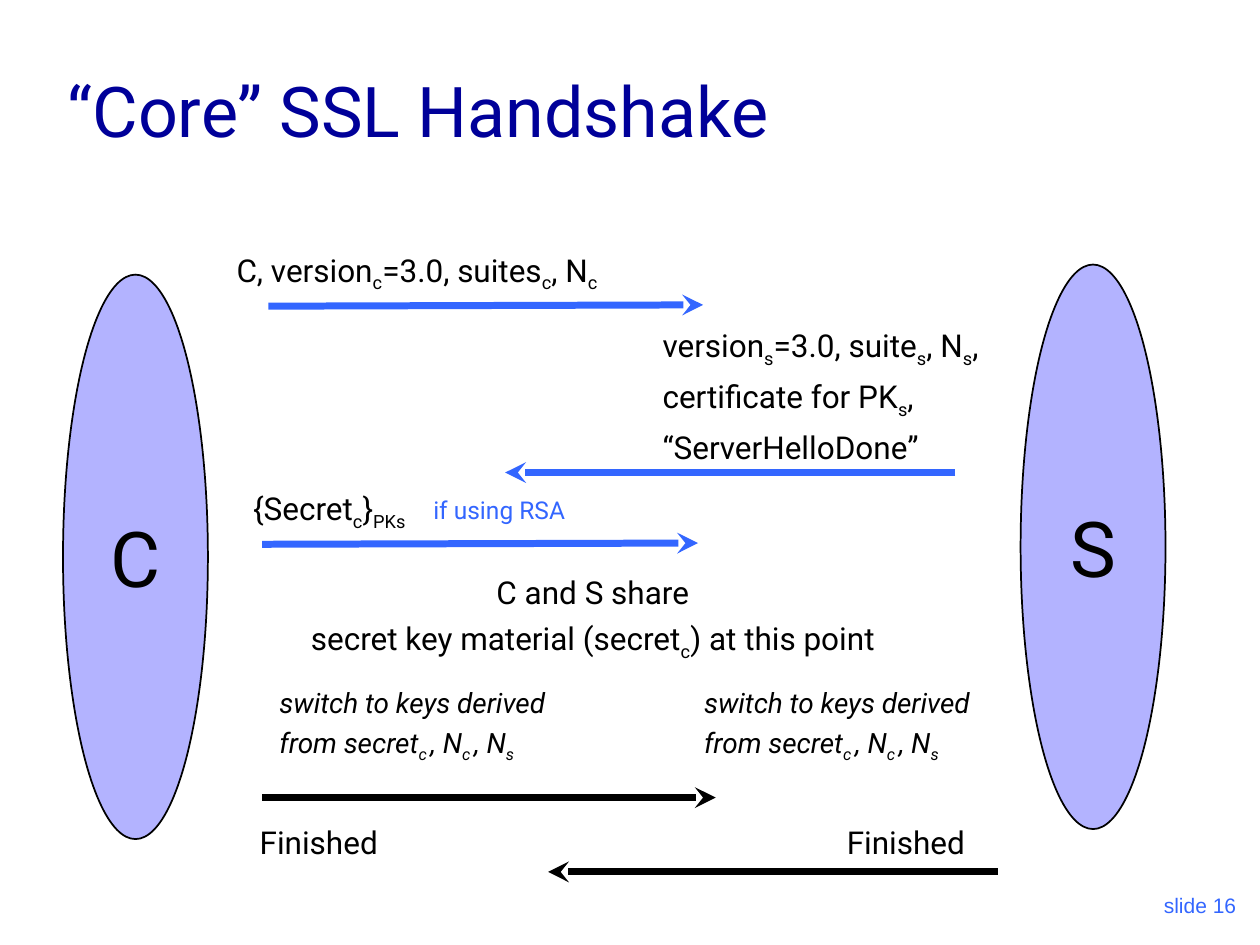
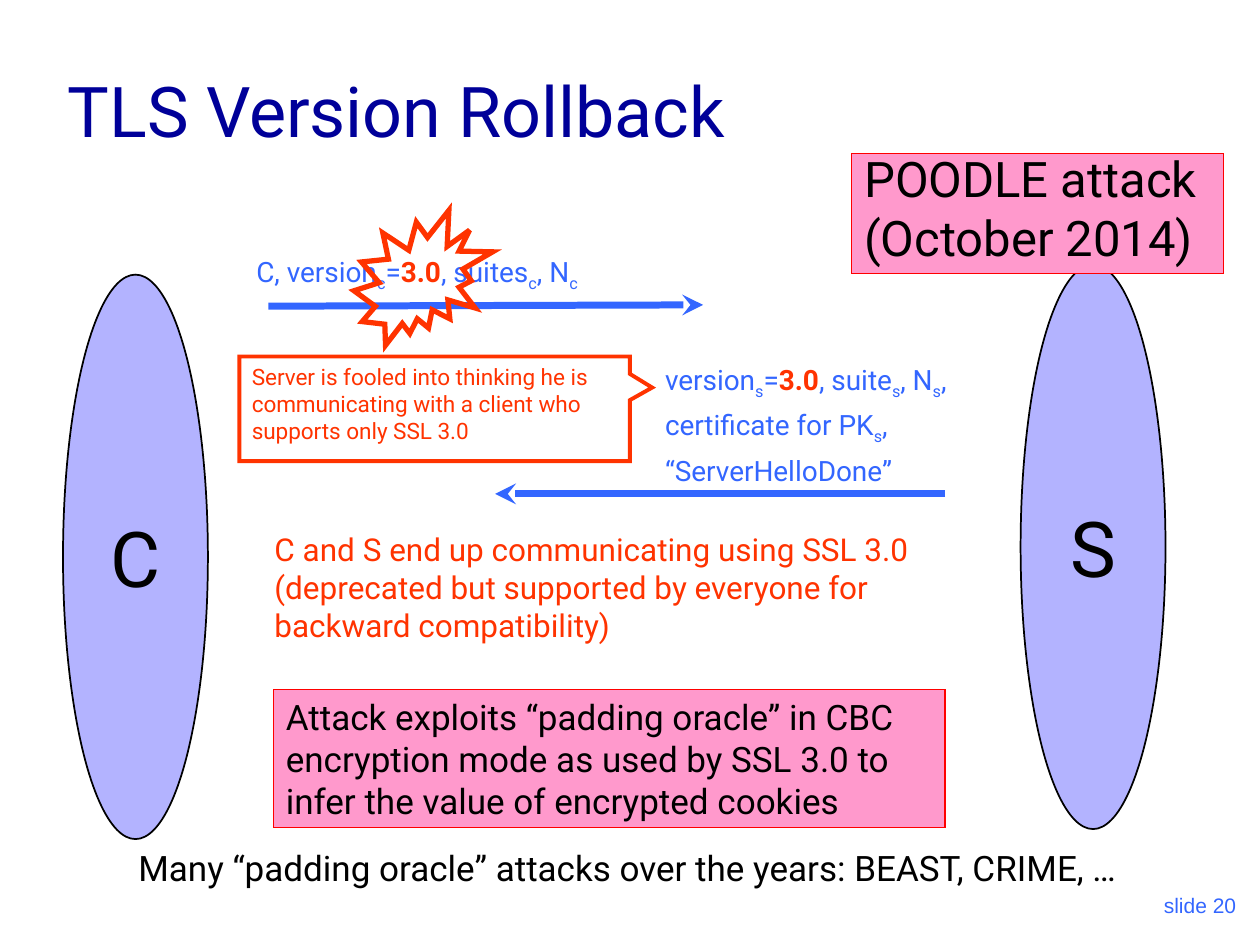
from lxml import etree
from pptx import Presentation
from pptx.dml.color import RGBColor
from pptx.enum.shapes import MSO_CONNECTOR as Connector, MSO_SHAPE as Preset
from pptx.enum.text import MSO_ANCHOR as Anchor, MSO_AUTO_SIZE as AutoSize, PP_ALIGN as Align
from pptx.oxml.ns import qn
from pptx.util import Inches, Pt

BLACK, NAVY, BLUE, RED = "000000", "000099", "3366FF", "FF3300"
LILAC, PINK, PINK_EDGE = "B3B3FF", "FF99CC", "FF0000"
SUBSCRIPT = "-25000"
GAP_RATIO = 0.25  # space between paragraphs as a share of the text size


def rgb(value):
    return RGBColor.from_string(value)


def write(frame, text, size=18, color=BLACK, font="Roboto", italic=False,
          align=Align.LEFT, anchor=Anchor.TOP, spacing=None, wrap=True):
    """Fill a frame: each line is a paragraph, ~x~ is subscript, *x* is bold red."""
    frame.word_wrap = wrap
    frame.auto_size = AutoSize.NONE if wrap else AutoSize.SHAPE_TO_FIT_TEXT
    frame.vertical_anchor = anchor
    for row, line in enumerate(text.split("\n")):
        paragraph = frame.add_paragraph() if row else frame.paragraphs[0]
        paragraph.alignment = align
        if row:
            paragraph.space_before = Pt(size * GAP_RATIO)
        if spacing:
            paragraph.line_spacing = spacing
        for i, chunk in enumerate(line.split("*")):
            for j, part in enumerate(chunk.split("~")):
                if not part:
                    continue
                run = paragraph.add_run()
                run.text = part
                style = run.font
                style.name, style.size = font, Pt(size)
                style.bold, style.italic = bool(i % 2), italic
                style.color.rgb = rgb(RED if i % 2 else color)
                if j % 2:
                    run._r.get_or_add_rPr().set("baseline", SUBSCRIPT)


class Deck:
    """Holds the shared style and the slide being drawn."""

    def __init__(self):
        self.file = Presentation()
        self.file.slide_width, self.file.slide_height = Inches(10), Inches(7.5)
        self.shapes = None

    def start_slide(self, title, number):
        slide = self.file.slides.add_slide(self.file.slide_layouts[6])
        self.shapes = slide.shapes
        self.label(f"slide {number}", 7.83, 6.83, 2.08, 0.5, size=12, color=BLUE,
                   font="Arial", align=Align.RIGHT, anchor=Anchor.BOTTOM)
        self.label(title, 0.44, 0.25, 8.5, 1, size=40, color=NAVY, anchor=Anchor.BOTTOM)
        self.party("C", 0.5, 2.18)
        self.party("S", 8.1, 2.1)

    def label(self, text, left, top, width, height, **style):
        box = self.shapes.add_textbox(*map(Inches, (left, top, width, height)))
        write(box.text_frame, text, **style)

    def outline(self, preset, left, top, width, height, line, weight, fill=None,
                text="", **style):
        shape = self.shapes.add_shape(preset, *map(Inches, (left, top, width, height)))
        shape.shadow.inherit = False
        if fill:
            shape.fill.solid()
            shape.fill.fore_color.rgb = rgb(fill)
        else:
            shape.fill.background()
        shape.line.color.rgb = rgb(line)
        shape.line.width = Pt(weight)
        etree.SubElement(shape.line._get_or_add_ln(), qn("a:miter"), lim="800000")
        if text:
            write(shape.text_frame, text, **style)
        return shape

    def party(self, name, left, top):
        self.outline(Preset.OVAL, left, top, 1.15, 4.48, BLACK, 1, LILAC, name,
                     size=44, align=Align.CENTER, anchor=Anchor.MIDDLE)

    def note(self, text, left, top, width, height, **style):
        self.outline(Preset.RECTANGLE, left, top, width, height, PINK_EDGE, 0.75,
                     PINK, text, **style)

    def message(self, start, end, color=BLUE):
        """Draw an arrow from sender to receiver."""
        arrow = self.shapes.add_connector(Connector.STRAIGHT, *map(Inches, start + end))
        arrow.line.color.rgb = rgb(color)
        arrow.line.width = Pt(4)
        etree.SubElement(arrow.line._get_or_add_ln(), qn("a:tailEnd"), type="stealth")
        etree.SubElement(arrow._element.spPr, qn("a:effectLst"))


def draw_handshake(deck):
    deck.start_slide("“Core” SSL Handshake", 16)
    deck.message((2.13, 2.43), (5.58, 2.42))
    deck.message((7.58, 3.75), (4.01, 3.75))
    deck.message((2.08, 4.32), (5.54, 4.31))
    deck.message((2.08, 6.33), (5.68, 6.33), BLACK)
    deck.message((7.92, 6.92), (4.35, 6.92), BLACK)

    deck.label("C, version~c~=3.0, suites~c~, N~c~", 1.71, 1.94, 3.2, 0.44,
               align=Align.CENTER, wrap=False)
    deck.label("version~s~=3.0, suite~s~, N~s~,\ncertificate for PK~s~,\n“ServerHelloDone”",
               5.16, 2.54, 2.85, 1.21, wrap=False)
    deck.label("{Secret~c~}~PKs~", 1.91, 3.83, 1.41, 0.44, wrap=False)
    deck.label("if using RSA", 3.34, 3.88, 1.25, 0.34, size=14, color=BLUE, wrap=False)
    deck.label("C and S share\nsecret key material (secret~c~) at this point",
               2.26, 4.5, 4.89, 0.81, align=Align.CENTER, wrap=False)
    for switch_left, finished_left in ((2.12, 1.94), (5.49, 6.6)):
        deck.label("switch to keys derived\nfrom secret~c ~, N~c ~, N~s~",
                   switch_left, 5.39, 2.33, 0.73, size=16, italic=True, wrap=False)
        deck.label("Finished", finished_left, 6.48, 1.18, 0.4,
                   align=Align.CENTER, wrap=False)


def draw_rollback(deck):
    deck.start_slide("TLS Version Rollback", 20)
    deck.message((2.13, 2.43), (5.58, 2.42))
    deck.message((7.5, 3.92), (3.93, 3.92))

    deck.label("C, version~c~=*3.0*, suites~c~, N~c~", 1.88, 1.97, 2.86, 0.41,
               size=16, color=BLUE, align=Align.CENTER, wrap=False)
    deck.label("version~s~=*3.0*, suite~s~, N~s~,\ncertificate for PK~s~,\n“ServerHelloDone”",
               5.18, 2.83, 2.56, 1.09, size=16, color=BLUE, wrap=False)
    deck.label("C and S end up communicating using SSL 3.0 (deprecated but supported "
               "by everyone for backward compatibility)", 2.08, 4.16, 5.68, 1, color=RED)

    deck.outline(Preset.EXPLOSION2, 2.81, 1.67, 1.1, 1.07, RED, 3)
    fooled = deck.outline(
        Preset.RECTANGULAR_CALLOUT, 1.9, 2.83, 3.1, 0.83, RED, 2.25,
        text="Server is fooled into thinking he is communicating with a client "
             "who supports only SSL 3.0", size=12.9, color=RED)
    fooled.adjustments[0], fooled.adjustments[1] = 0.557, -0.203

    deck.note("POODLE attack\n(October 2014)", 6.76, 1.22, 2.95, 0.95,
              size=28, spacing=0.8, wrap=False)
    deck.note("Attack exploits “padding oracle” in CBC encryption mode as used by "
              "SSL 3.0 to infer the value of encrypted cookies",
              2.17, 5.47, 5.33, 1.1, size=20)
    deck.label("Many “padding oracle” attacks over the years: BEAST, CRIME, …",
               1, 6.67, 8.48, 0.44, size=20, wrap=False)


def main():
    deck = Deck()
    draw_handshake(deck)
    draw_rollback(deck)
    deck.file.save("out.pptx")


if __name__ == "__main__":
    main()
